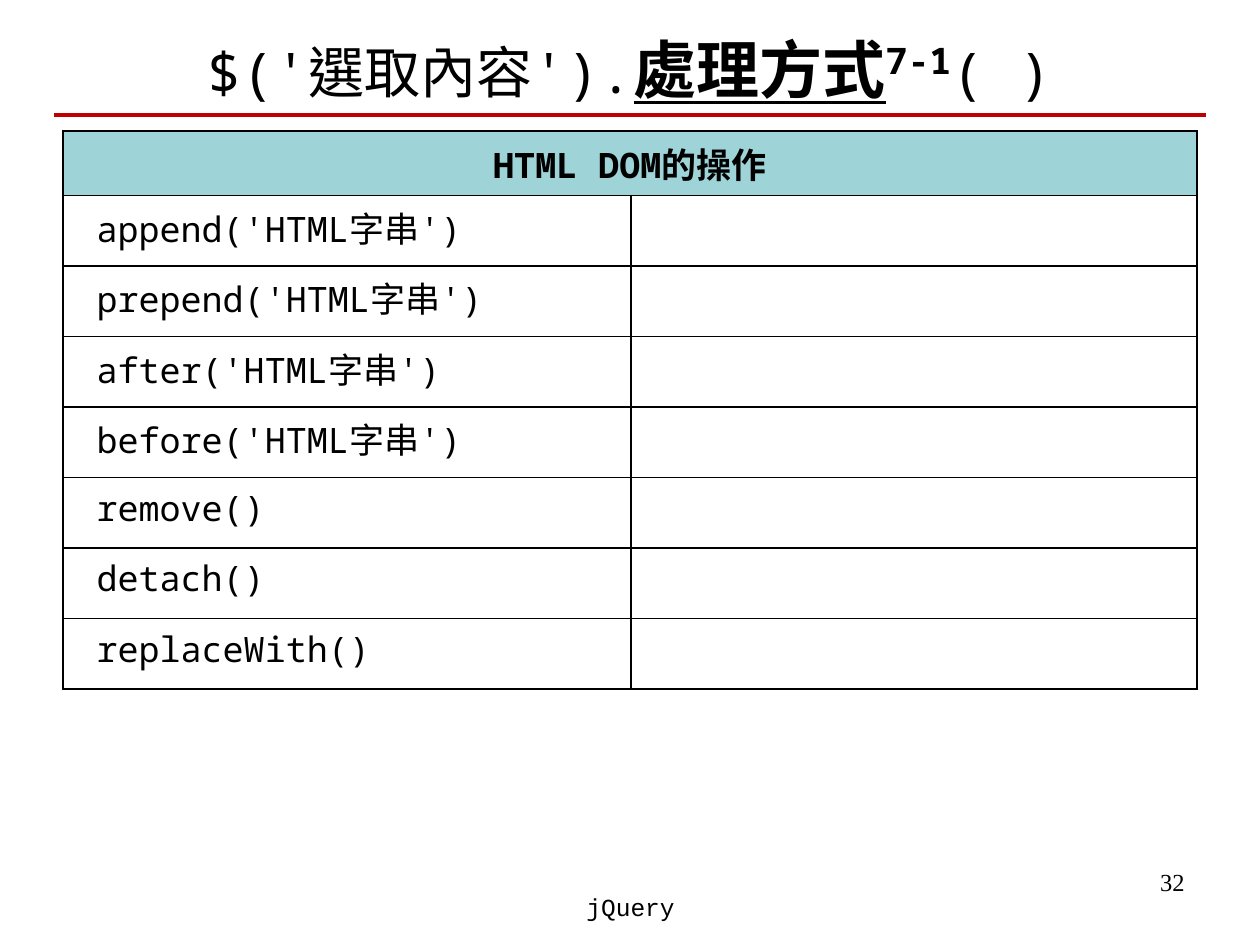
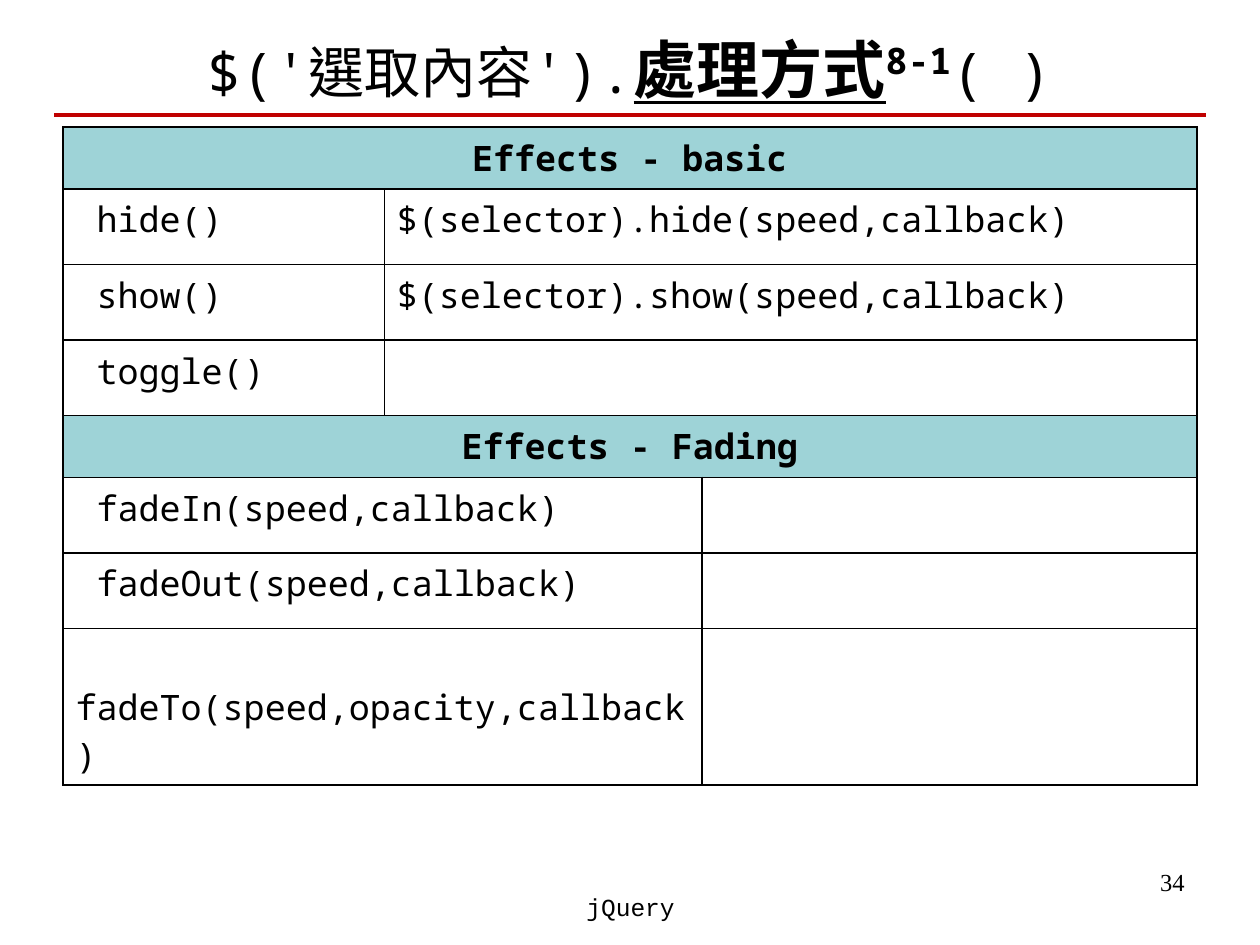
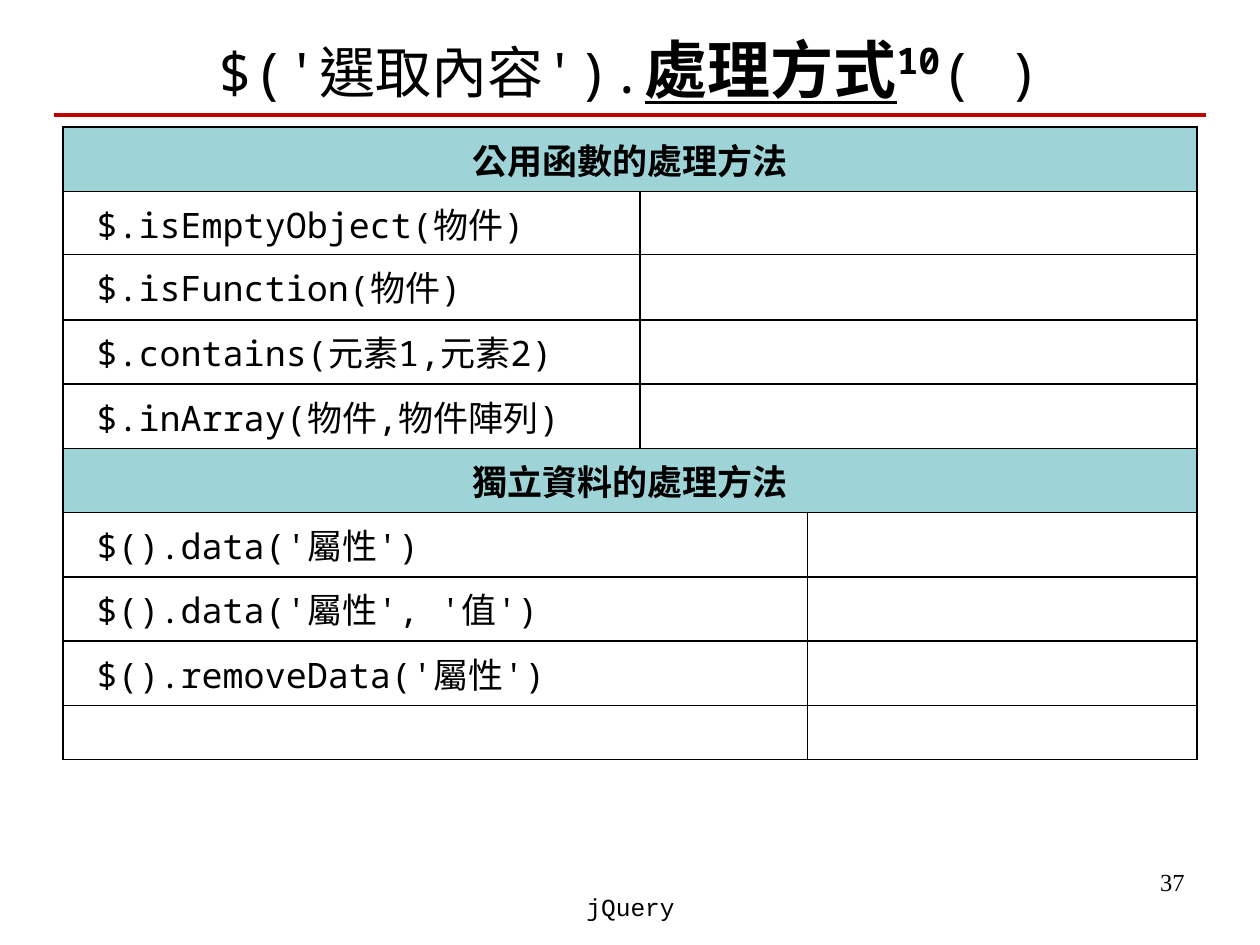
from lxml import etree
from pptx import Presentation
from pptx.dml.color import RGBColor
from pptx.enum.shapes import MSO_CONNECTOR
from pptx.enum.text import MSO_ANCHOR, PP_ALIGN
from pptx.oxml.ns import qn
from pptx.util import Inches, Pt

LEFT, CENTER, RIGHT = PP_ALIGN.LEFT, PP_ALIGN.CENTER, PP_ALIGN.RIGHT
TOP, MIDDLE = MSO_ANCHOR.TOP, MSO_ANCHOR.MIDDLE
STRAIGHT = MSO_CONNECTOR.STRAIGHT

COLORS = {"text": "000000", "rule": "C00000", "heading": "9ED3D7", "border": "000000"}
MONO, FOOTER_FONT, NUMBER_FONT = "Noto Sans Mono", "Courier New", "Times New Roman"

TITLE_PLAIN = {"name": MONO, "size": Pt(32)}
TITLE_STRONG = {"name": MONO, "size": Pt(36), "bold": True}
CELL = {"name": MONO, "size": Pt(20), "bold": False}
HEADING = {**CELL, "bold": True}
FOOTER = {"name": FOOTER_FONT, "size": Pt(14)}
NUMBER = {"name": NUMBER_FONT, "size": Pt(14)}

TABLE_LEFT, TABLE_WIDTH = 0.5, 9

# A section is (heading, columns taken by the left cell, rows of left and right text).
SLIDES = [
    {
        "number": 32, "part": "7-1", "top": 1.04,
        "columns": [4.51, 4.49],
        "heights": [0.51] + [0.56] * 7,
        "sections": [
            ("HTML DOM的操作", 1, [
                (" append('HTML字串')", ""),
                (" prepend('HTML字串')", ""),
                (" after('HTML字串')", ""),
                (" before('HTML字串')", ""),
                (" remove()", ""),
                (" detach()", ""),
                (" replaceWith()", ""),
            ]),
        ],
    },
    {
        "number": 34, "part": "8-1", "top": 1.01,
        "columns": [2.55, 2.52, 3.93],
        "heights": [0.49, 0.6, 0.6, 0.6, 0.49, 0.6, 0.6, 1.24],
        "sections": [
            ("Effects - basic", 1, [
                (" hide()", "$(selector).hide(speed,callback)"),
                (" show()", "$(selector).show(speed,callback)"),
                (" toggle()", ""),
            ]),
            ("Effects - Fading", 2, [
                (" fadeIn(speed,callback)", ""),
                (" fadeOut(speed,callback)", ""),
                (" fadeTo(speed,opacity,callback)", ""),
            ]),
        ],
    },
    {
        "number": 37, "part": "10", "top": 1.01,
        "columns": [4.58, 1.33, 3.09],
        "heights": [0.51, 0.5, 0.52] + [0.51] * 6 + [0.43],
        "sections": [
            ("公用函數的處理方法", 1, [
                (" $.isEmptyObject(物件)", ""),
                (" $.isFunction(物件)", ""),
                (" $.contains(元素1,元素2)", ""),
                (" $.inArray(物件,物件陣列)", ""),
            ]),
            ("獨立資料的處理方法", 2, [
                (" $().data('屬性')", ""),
                (" $().data('屬性', '值')", ""),
                (" $().removeData('屬性')", ""),
                ("", ""),
            ]),
        ],
    },
]


def rgb(key):
    """Return the named colour."""
    return RGBColor.from_string(COLORS[key])


def add_run(paragraph, text, formats, baseline=None):
    """Append a run with the given font values."""
    run = paragraph.add_run()
    run.text = text
    for attribute, value in formats.items():
        setattr(run.font, attribute, value)
    run.font.color.rgb = rgb("text")
    properties = run._r.get_or_add_rPr()
    properties.set("lang", "zh-TW")
    if baseline:
        properties.set("baseline", str(baseline * 1000))


def add_text(slide, box, runs, align, anchor=TOP):
    """Add a one-paragraph text box made of (text, formats, baseline) runs."""
    frame = slide.shapes.add_textbox(*map(Inches, box)).text_frame
    frame.word_wrap = True
    frame.vertical_anchor = anchor
    paragraph = frame.paragraphs[0]
    paragraph.alignment = align
    for run in runs:
        add_run(paragraph, *run)


def add_frame(slide, part, number):
    """Add the title, rule, footer and page number that all slides share."""
    add_text(slide, (7.17, 6.83, 2.33, 0.52), [(str(number), NUMBER)], RIGHT)
    add_text(slide, (0.5, 0.16, 9, 0.76), [
        ("$('選取內容').", TITLE_PLAIN),
        ("處理方式", {**TITLE_STRONG, "underline": True}),
        (part, TITLE_STRONG, 30),
        ("( )", TITLE_PLAIN),
    ], CENTER, MIDDLE)
    rule = slide.shapes.add_connector(STRAIGHT, *map(Inches, (0.43, 0.91, 9.57, 0.91)))
    rule.line.color.rgb = rgb("rule")
    rule.line.width = Pt(2.25)
    etree.SubElement(rule._element.spPr, qn("a:effectLst"))
    add_text(slide, (3.42, 7.03, 3.17, 0.5), [("jQuery", FOOTER)], CENTER)


def add_borders(cell):
    """Draw a thin line on all four sides of a cell."""
    properties = cell._tc.get_or_add_tcPr()
    for index, side in enumerate(("lnL", "lnR", "lnT", "lnB")):
        line = etree.Element(qn("a:" + side), w=str(Pt(1)))
        fill = etree.SubElement(line, qn("a:solidFill"))
        etree.SubElement(fill, qn("a:srgbClr"), val=COLORS["border"])
        properties.insert(index, line)


def fill_cells(table, row, first, last, text, formats, align=LEFT):
    """Join the cells first to last of a row and write the text there."""
    cell = table.cell(row, first)
    if last > first:
        cell.merge(table.cell(row, last))
    paragraph = cell.text_frame.paragraphs[0]
    paragraph.alignment = align
    if text:
        add_run(paragraph, text, formats)
    return cell


def add_method_table(slide, top, columns, heights, sections):
    """Add the table of methods, each section under its own heading row."""
    box = (TABLE_LEFT, top, TABLE_WIDTH, sum(heights))
    table = slide.shapes.add_table(len(heights), len(columns), *map(Inches, box)).table
    table.first_row = table.horz_banding = False
    for column, width in zip(table.columns, columns):
        column.width = Inches(width)
    for row, height in zip(table.rows, heights):
        row.height = Inches(height)
    for cell in table.iter_cells():
        cell.fill.background()
        add_borders(cell)

    last, row = len(columns) - 1, 0
    for heading, split, methods in sections:
        band = fill_cells(table, row, 0, last, heading, HEADING, CENTER)
        band.fill.solid()
        band.fill.fore_color.rgb = rgb("heading")
        for row, (method, usage) in enumerate(methods, row + 1):
            fill_cells(table, row, 0, split - 1, method, CELL)
            fill_cells(table, row, split, last, usage, CELL)
        row += 1


prs = Presentation()
prs.slide_width, prs.slide_height = Inches(10), Inches(7.5)
for content in SLIDES:
    page = prs.slides.add_slide(prs.slide_layouts[6])
    add_frame(page, content["part"], content["number"])
    add_method_table(page, content["top"], content["columns"],
                     content["heights"], content["sections"])
prs.save("out.pptx")
